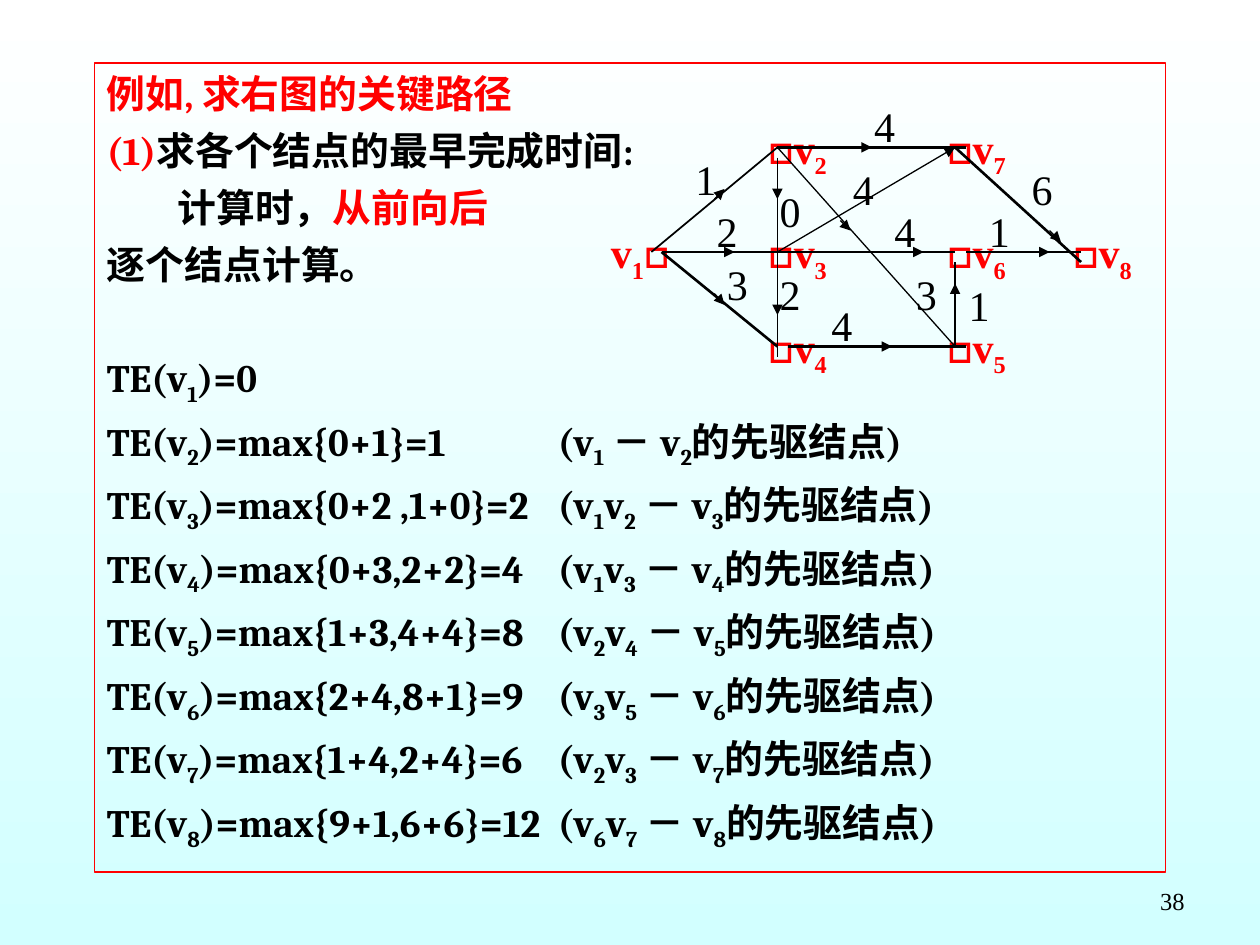
import pptx
import pptx.util
import pptx.dml.color
import pptx.enum.shapes
import pptx.enum.text
import pptx.oxml
import pptx.oxml.ns

Inches = pptx.util.Inches
Pt = pptx.util.Pt
ALIGN = pptx.enum.text.PP_ALIGN
ANCHOR = pptx.enum.text.MSO_ANCHOR
COLORS = {"ink": "000000", "red": "FF0000", "top": "FFFFFF", "base": "D2FFFF"}
SERIF = "Times New Roman"


def shade(name):
    return pptx.dml.color.RGBColor.from_string(COLORS[name])


def child(parent, tag, **attrs):
    node = pptx.oxml.parse_xml(f"<{tag} {pptx.oxml.ns.nsdecls('a')}/>")
    for key, value in attrs.items():
        node.set(key, str(value))
    parent.append(node)
    return node


def write(para, text, size=24, font=SERIF, color="ink", bold=False):
    """Add text; the character after each underscore is a subscript."""
    first, *rest = text.split("_")
    parts = [(first, 0)]
    for part in rest:
        parts += [(part[0], -25000), (part[1:], 0)]
    for piece, shift in parts:
        if piece:
            run = para.add_run()
            run.text = piece
            run.font.size = Pt(size)
            run.font.name = font
            run.font.bold = bold
            run.font.color.rgb = shade(color)
            if shift:
                run.font._element.set("baseline", str(shift))


class Canvas:
    def __init__(self, slide):
        self.slide = slide
        self.shapes = slide.shapes

    def back(self):
        fill = self.slide.background.fill
        fill.gradient()
        fill.gradient_angle = 270
        for stop, name, place in zip(fill.gradient_stops, ("top", "base"), (0, 1)):
            stop.color.rgb = shade(name)
            stop.position = place

    def frame(self, x, y, w, h):
        box = self.shapes.add_shape(pptx.enum.shapes.MSO_SHAPE.RECTANGLE,
                                    Inches(x), Inches(y), Inches(w), Inches(h))
        box.shadow.inherit = False
        box.fill.background()
        box.line.color.rgb = shade("red")
        box.line.width = Pt(0.75)
        box.text_frame.word_wrap = True
        box.text_frame.vertical_anchor = ANCHOR.TOP
        return box.text_frame

    def row(self, frame, parts, before=6, left=0, stop=None):
        fresh = not frame.paragraphs[0].runs
        para = frame.paragraphs[0] if fresh else frame.add_paragraph()
        para.alignment = ALIGN.LEFT
        if not fresh:
            para.space_before = Pt(before)
        props = para._p.get_or_add_pPr()
        props.set("marL", str(Inches(left)))
        if stop:
            child(child(props, "a:tabLst"), "a:tab", pos=Inches(stop), algn="l")
        for text, color in parts:
            write(para, text, 22.2, "Cambria", color, True)

    def text(self, x, y, w, h, align=ALIGN.LEFT, anchor=ANCHOR.TOP, wrap=True):
        box = self.shapes.add_textbox(Inches(x), Inches(y), Inches(w), Inches(h))
        box.text_frame.word_wrap = wrap
        box.text_frame.vertical_anchor = anchor
        para = box.text_frame.paragraphs[0]
        para.alignment = align
        return para

    def node(self, num, x, y, w=0.75):
        para = self.text(x, y, w, 0.56)
        look = {"color": "red", "bold": True}
        pair = [("□", "Calibri"), (f"v_{num}", SERIF)]
        for text, font in reversed(pair) if num == 1 else pair:
            write(para, text, font=font, **look)

    def weight(self, num, x, y):
        para = self.text(x, y, 0.36, 0.5, ALIGN.CENTER, ANCHOR.MIDDLE, False)
        write(para, str(num))

    def line(self, x1, y1, x2, y2, width=0.75, arrow=False):
        line = self.shapes.add_connector(
            pptx.enum.shapes.MSO_CONNECTOR.STRAIGHT,
            Inches(x1), Inches(y1), Inches(x2), Inches(y2))
        line.line.color.rgb = shade("ink")
        line.line.width = Pt(width)
        if arrow:
            child(line.line._get_or_add_ln(), "a:tailEnd", type="triangle")
        child(line._element.spPr, "a:effectLst")


# Node: number, left, top, width
NODES = [(8, 8.42, 1.75), (5, 7.42, 2.5, 0.83), (4, 6, 2.5), (1, 4.75, 1.75),
         (7, 7.42, 0.92), (2, 6, 0.92), (6, 7.42, 1.75, 0.83), (3, 6, 1.75)]
# Edge: start, end, line width
EDGES = [(6.17, 1.25, 6.17, 2, 1), (5.17, 2, 6.17, 1.17, 1),
         (5.25, 2, 6.17, 2.75, 1.5), (6.17, 1.17, 7.67, 1.17, 1.5),
         (6.25, 2.75, 7.67, 2.75, 1.5), (7.58, 1.17, 8.58, 2.08, 1.5),
         (7.67, 2, 8.58, 2, 1.5), (5.25, 2, 6.17, 2), (6.17, 2, 7.58, 2),
         (6.17, 2, 6.17, 2.83), (6.17, 1.17, 7.58, 2.75),
         (7.58, 2.75, 7.58, 2.08)]
# Arrow: start, end
HEADS = [(5.67, 1.58, 5.75, 1.5), (5.67, 2.33, 5.75, 2.42),
         (6.75, 1.17, 6.92, 1.17), (7.17, 2, 7.33, 2), (6.83, 2.75, 7.08, 2.75),
         (7.58, 2.42, 7.58, 2.25), (8.33, 1.83, 8.42, 1.92),
         (6.17, 2, 7.58, 1.17), (6.17, 1.42, 6.17, 1.58), (5.67, 2, 5.83, 2),
         (8.17, 2, 8.33, 2), (6.67, 1.75, 6.75, 1.83), (6.17, 2.42, 6.17, 2.5)]
# Weight: value, left, top
WEIGHTS = [(1, 5.42, 1.17), (4, 6.84, 0.75), (2, 5.59, 1.58), (0, 6.09, 1.42),
           (3, 7.17, 2.08), (4, 6.67, 1.25), (6, 8.09, 1.25), (1, 7.75, 1.58),
           (2, 6.09, 2.08), (3, 5.67, 2), (1, 7.59, 2.17), (4, 6.5, 2.33),
           (4, 7, 1.58)]
# Step: terms, result, nodes that come before
STEPS = [("0+1", 1, "_1"), ("0+2 ,1+0", 2, "_1v_2"), ("0+3,2+2", 4, "_1v_3"),
         ("1+3,4+4", 8, "_2v_4"), ("2+4,8+1", 9, "_3v_5"),
         ("1+4,2+4", 6, "_2v_3"), ("9+1,6+6", 12, "_6v_7")]


def main():
    deck = pptx.Presentation()
    deck.slide_width, deck.slide_height = Inches(10), Inches(7.5)
    art = Canvas(deck.slides.add_slide(deck.slide_layouts[6]))
    art.back()

    # Slide number
    write(art.text(7.17, 6.95, 2.33, 0.4, ALIGN.RIGHT, ANCHOR.MIDDLE), "38", 14)

    # Task and earliest times
    body = art.frame(0.75, 0.5, 8.5, 6.42)
    art.row(body, [("例如, 求右图的关键路径", "red")])
    art.row(body, [("(1)", "red"), ("求各个结点的最早完成时间:", "ink")])
    art.row(body, [("计算时，", "ink"), ("从前向后", "red")], left=0.56)
    art.row(body, [("逐个结点计算。", "ink")])
    art.row(body, [("TE(v_1)=0", "ink")], before=38)
    for num, (terms, total, prior) in enumerate(STEPS, 2):
        text = f"TE(v_{num})=max{{{terms}}}={total}\t(v{prior} － v_{num}的先驱结点)"
        art.row(body, [(text, "ink")], stop=3.58)

    # Network
    for node in NODES:
        art.node(*node)
    for edge in EDGES:
        art.line(*edge)
    for head in HEADS:
        art.line(*head, arrow=True)
    for weight in WEIGHTS:
        art.weight(*weight)

    deck.save("out.pptx")


if __name__ == "__main__":
    main()
